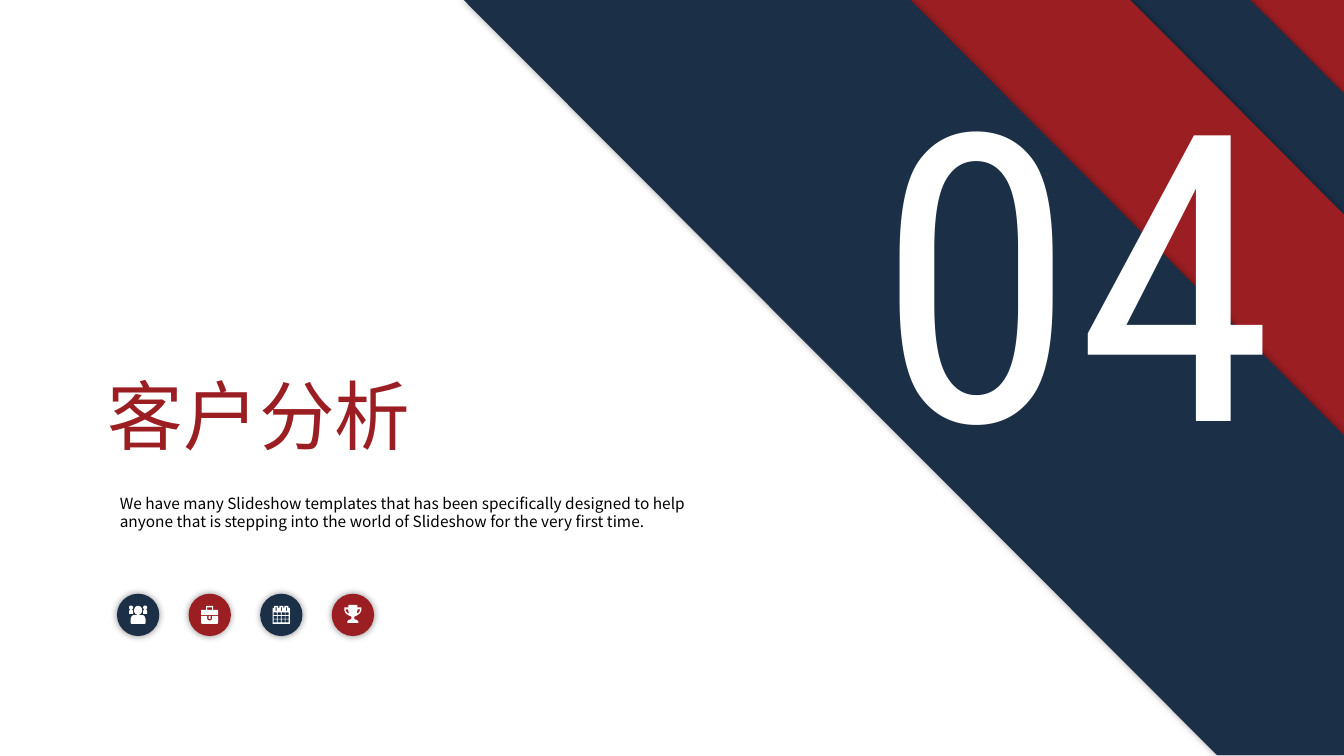
from dataclasses import dataclass
from math import cos, pi, sin

from lxml.etree import SubElement
from pptx import Presentation
from pptx.dml.color import RGBColor
from pptx.enum.shapes import MSO_SHAPE
from pptx.enum.text import MSO_ANCHOR, PP_ALIGN
from pptx.oxml.ns import qn
from pptx.util import Inches, Pt


@dataclass(frozen=True)
class Theme:
    navy: str = "1B2F47"
    red: str = "9B1E23"
    white: str = "FFFFFF"
    black: str = "000000"
    number: int = 287
    title: int = 54
    body: int = 11
    digits: str = "Roboto Condensed"
    heading: str = "Noto Sans CJK JP"
    prose: str = "Noto Sans CJK SC"


THEME = Theme()
WIDE, HIGH = 13.33, 7.5


def paint(shape, color):
    shape.shadow.inherit = False
    shape.fill.solid()
    shape.fill.fore_color.rgb = RGBColor.from_string(color)
    shape.line.fill.background()


def glow(shape):
    effects = shape._element.spPr.find(qn("a:effectLst"))
    outer = SubElement(effects, qn("a:outerShdw"), blurRad=str(Pt(5)),
                       dist="0", dir="0", algn="ctr", rotWithShape="0")
    tint = SubElement(outer, qn("a:srgbClr"), val=THEME.black)
    SubElement(tint, qn("a:alpha"), val="40000")


def outline(slide, loops, color):
    loops = [[(Inches(x), Inches(y)) for x, y in loop] for loop in loops]
    builder = slide.shapes.build_freeform(*loops[0][0], scale=1.0)
    for index, loop in enumerate(loops):
        if index:
            builder.move_to(*loop[0])
        builder.add_line_segments(loop[1:], close=True)
    shape = builder.convert_to_shape()
    paint(shape, color)
    return shape


def band(slide, points, color):
    glow(outline(slide, [points], color))


def label(slide, box, text, font, size, color, align=PP_ALIGN.LEFT,
          anchor=MSO_ANCHOR.MIDDLE, inset=None):
    frame = slide.shapes.add_textbox(*map(Inches, box)).text_frame
    frame.word_wrap = True
    frame.vertical_anchor = anchor
    if inset is not None:
        frame.margin_left = frame.margin_right = Inches(inset)
        frame.margin_top = frame.margin_bottom = Inches(inset)
    para = frame.paragraphs[0]
    para.text = text
    para.alignment = align
    run = para.runs[0]
    run.font.name = font
    run.font.size = Pt(size)
    run.font.color.rgb = RGBColor.from_string(color)
    props = run._r.get_or_add_rPr()
    SubElement(props, qn("a:ea"), typeface=font)


def rect(left, top, right, bottom):
    return [(left, top), (right, top), (right, bottom), (left, bottom)]


def oval(x, y, wide, high, steps=32):
    turns = [2 * pi * step / steps for step in range(steps)]
    return [(x + wide * cos(turn), y + high * sin(turn)) for turn in turns]


def flip(points):
    return [(-x, y) for x, y in reversed(points)]


def people():
    half = [(2, 0.2), (5, 0.2), (6.5, 1.5), (7.5, 4), (7.5, 8), (6.5, 9)]
    base = [(6, -5.2), (8, -5.2), (9, -4), (9, -1), (5, -1), (5, -4)]
    face = oval(7, -7.3, 2, 2)
    return [oval(0, -4.5, 4, 4.5), half + flip(half),
            face, flip(face), base, flip(base)]


def case():
    lower = [(2.5, 1), (8.5, 1), (8.5, 8), (7.5, 9)]
    notch = [(-2.5, 1), (-2.5, 4), (-1, 5.5), (1, 5.5), (2.5, 4)]
    return [rect(-8.5, -5, 8.5, 0), rect(-3.5, -9, 3.5, -5),
            rect(-2.5, -7.5, 2.5, -5), lower + flip(lower) + notch,
            rect(-1, 1, 1, 4)]


def diary():
    loops = [rect(-8.5, -7, 8.5, 9)]
    for x in (-5, 0, 5):
        loops += [rect(x - 2, -9, x + 2, -7), rect(x - 0.5, -8, x + 0.5, -4)]
    for row in range(3):
        for col in range(4):
            x, y = -7.5 + 3.9 * col, -2.4 + 3.5 * row
            loops.append(rect(x, y, x + 3.2, y + 2.8))
    return loops


def trophy():
    half = [(4.5, -10), (4.5, -7.5), (8.5, -7.5), (8.5, -4.5), (7, -1.5),
            (4, 0.6), (1.8, 1.5), (1.2, 3), (2, 4.5), (4, 5), (5.5, 6.5),
            (5.5, 8)]
    hole = [(4.7, -5.5), (7.3, -5.5), (7, -4), (5.5, -2), (3.8, -1.2)]
    return [half + flip(half), hole, flip(hole)]


def badge(slide, left, top, color, loops):
    size = 0.42
    disc = slide.shapes.add_shape(
        MSO_SHAPE.OVAL, *map(Inches, (left, top, size, size)))
    paint(disc, color)
    glow(disc)
    x, y = left + size / 2, top + size / 2
    moved = [[(x + dx / 100, y + dy / 100) for dx, dy in loop]
             for loop in loops]
    outline(slide, moved, THEME.white)


def main():
    deck = Presentation()
    deck.slide_width, deck.slide_height = Inches(WIDE), Inches(HIGH)
    slide = deck.slides.add_slide(deck.slide_layouts[6])

    band(slide, [(WIDE, 2.99), (10.37, 0), (WIDE, 0)], THEME.red)
    band(slide, [(WIDE, 4.27), (9.08, 0), (12.4, 0), (WIDE, 0.93)],
         THEME.navy)
    band(slide, [(WIDE, 6.43), (6.93, 0), (11.21, 0), (WIDE, 2.13)],
         THEME.red)
    band(slide, [(WIDE, 7.49), (12.07, 7.49), (4.6, 0), (9.03, 0),
                 (WIDE, 4.32)], THEME.navy)

    label(slide, (8.57, 0.12, 4.21, 4.93), "04", THEME.digits, THEME.number,
          THEME.white, align=PP_ALIGN.CENTER)
    label(slide, (1.07, 3.65, 6.1, 0.91), "客户分析", THEME.heading,
          THEME.title, THEME.red, inset=0)
    label(slide, (1.09, 4.85, 5.97, 0.53),
          "We have many Slideshow templates that has been specifically "
          "designed to help anyone that is stepping into the world of "
          "Slideshow for the very first time.",
          THEME.prose, THEME.body, THEME.black, anchor=MSO_ANCHOR.TOP)

    for index, icon in enumerate((people, case, diary, trophy)):
        color = THEME.red if index % 2 else THEME.navy
        badge(slide, 1.16 + 0.71 * index, 5.89, color, icon())

    deck.save("out.pptx")


if __name__ == "__main__":
    main()
